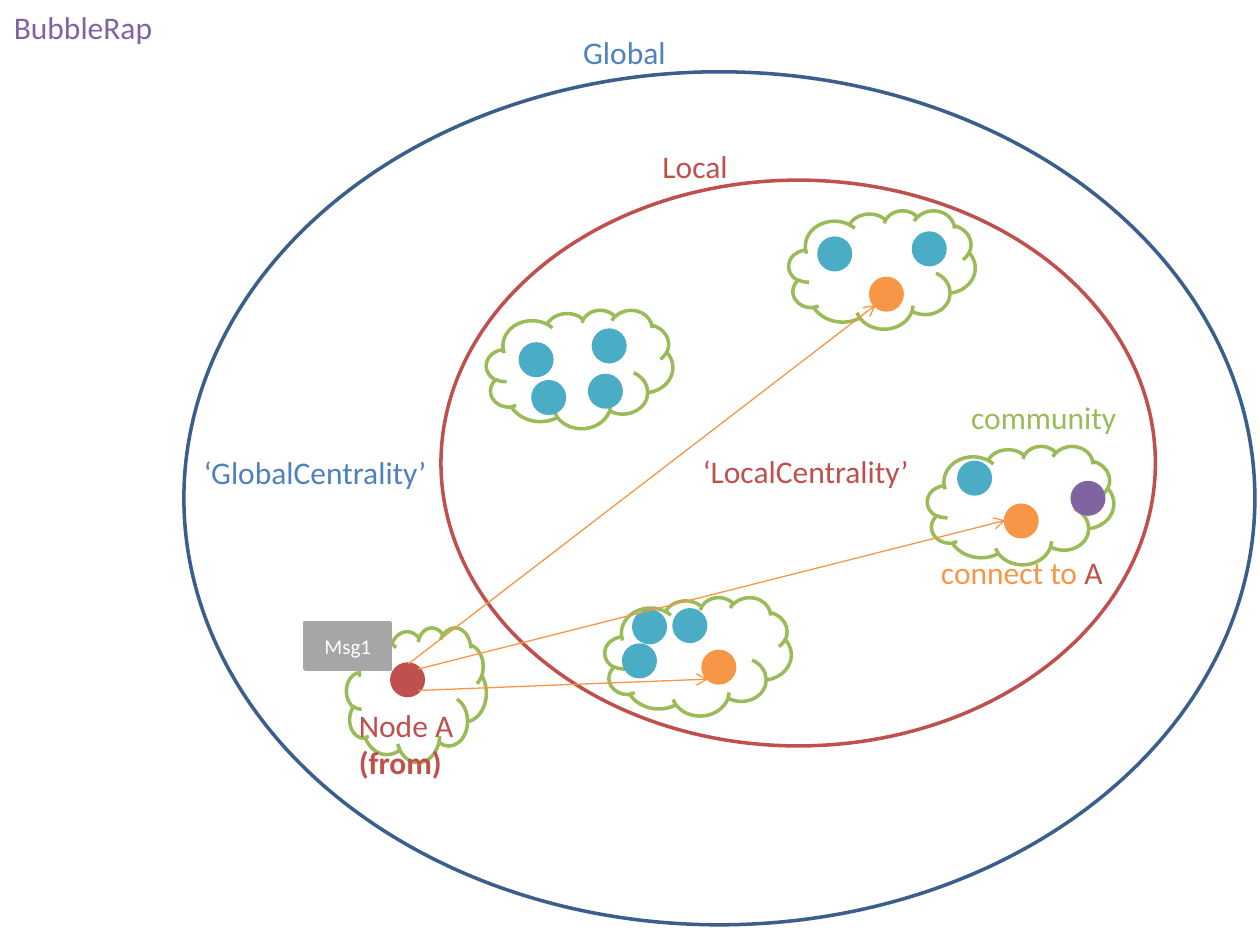
from typing import NamedTuple, Optional

from lxml import etree
from pptx import Presentation
from pptx import util as u
from pptx.dml.color import RGBColor
from pptx.enum import shapes, text
from pptx.oxml import ns

FONT = "Calibri"
NAVY = RGBColor(0x3A, 0x5F, 0x8C)
BLUE = RGBColor(0x4F, 0x81, 0xBD)
RED = RGBColor(0xC0, 0x50, 0x4D)
GREEN = RGBColor(0x9B, 0xBB, 0x59)
TEAL = RGBColor(0x4B, 0xAC, 0xC6)
ORANGE = RGBColor(0xF7, 0x96, 0x46)
PURPLE = RGBColor(0x80, 0x64, 0xA2)
GRAY = RGBColor(0xA6, 0xA6, 0xA6)
WHITE = RGBColor(0xFF, 0xFF, 0xFF)

NODE_SIZE = 0.25
CLOUD_WIDTH, CLOUD_HEIGHT = 1.48, 0.94


class Run(NamedTuple):
    words: str
    color: RGBColor
    bold: bool = False
    size: int = 18


class Box(NamedTuple):
    left: float
    top: float
    width: float
    height: float

    def lengths(self) -> list:
        return [u.Inches(value) for value in self]


class Outline(NamedTuple):
    box: Box
    preset: shapes.MSO_SHAPE
    line: RGBColor
    fill: Optional[RGBColor] = None


class Node(NamedTuple):
    left: float
    top: float
    color: RGBColor = TEAL


class Arrow(NamedTuple):
    start: tuple
    end: tuple


class Label(NamedTuple):
    box: Box
    lines: list


def cloud(left: float, top: float, width: float = CLOUD_WIDTH,
          height: float = CLOUD_HEIGHT) -> Outline:
    return Outline(Box(left, top, width, height), shapes.MSO_SHAPE.CLOUD, GREEN)


REGIONS = [
    Outline(Box(1.46, 0.57, 8.5, 6.77), shapes.MSO_SHAPE.OVAL, NAVY),
    Outline(Box(3.5, 1.43, 5.67, 4.49), shapes.MSO_SHAPE.OVAL, RED),
]
COMMUNITIES = [
    cloud(6.26, 1.67),
    cloud(4.8, 4.74),
    cloud(7.36, 3.54),
    cloud(3.86, 2.46),
    cloud(2.75, 4.98, 1.11, 1.07),
]
NODES = [
    Node(4.71, 2.62), Node(4.13, 2.73), Node(4.23, 3.03), Node(4.68, 2.98),
    Node(6.5, 1.89), Node(7.25, 1.85), Node(6.91, 2.21, ORANGE),
    Node(5.03, 4.85), Node(4.95, 5.12), Node(5.35, 4.84), Node(5.58, 5.17, ORANGE),
    Node(7.61, 3.67), Node(8.51, 3.83, PURPLE), Node(7.98, 4.01, ORANGE),
    Node(3.11, 5.27, RED),
]
ARROWS = [
    Arrow((3.24, 5.27), (6.95, 2.42)),
    Arrow((3.32, 5.48), (5.62, 5.39)),
    Arrow((3.32, 5.31), (7.98, 4.13)),
]
MESSAGE = Outline(Box(2.42, 4.94, 0.68, 0.37), shapes.MSO_SHAPE.RECTANGLE, GRAY, GRAY)
TITLE = Label(Box(0.01, 0.01, 1.31, 0.4), [[Run("BubbleRap", PURPLE)]])
LABELS = [
    Label(Box(4.53, 0.21, 0.86, 0.4), [[Run("Global", BLUE)]]),
    Label(Box(5.16, 1.12, 0.73, 0.4), [[Run("Local", RED)]]),
    Label(Box(7.61, 3.11, 1.37, 0.4), [[Run("community", GREEN)]]),
    Label(Box(7.37, 4.34, 1.5, 0.4), [[Run("connect to ", ORANGE), Run("A", RED)]]),
    Label(Box(2.75, 5.55, 0.96, 0.71), [[Run("Node A", RED)], [Run("(from)", RED, True)]]),
    Label(Box(5.48, 3.54, 1.84, 0.4), [[Run("‘LocalCentrality’", RED)]]),
    Label(Box(1.52, 3.55, 1.97, 0.4), [[Run("‘GlobalCentrality’", BLUE)]]),
]


def write(frame, lines: list, align, anchor) -> None:
    frame.word_wrap = False
    frame.vertical_anchor = anchor
    for index, runs in enumerate(lines):
        paragraph = frame.paragraphs[0] if index == 0 else frame.add_paragraph()
        paragraph.alignment = align
        for item in runs:
            run = paragraph.add_run()
            run.text = item.words
            run.font.name = FONT
            run.font.size = u.Pt(item.size)
            run.font.bold = item.bold
            run.font.color.rgb = item.color


def draw_outline(slide, outline: Outline):
    shape = slide.shapes.add_shape(outline.preset, *outline.box.lengths())
    shape.shadow.inherit = False
    shape.line.color.rgb = outline.line
    shape.line.width = u.Pt(2)
    if outline.fill is None:
        shape.fill.background()
    else:
        shape.fill.solid()
        shape.fill.fore_color.rgb = outline.fill
    return shape


def draw_node(slide, node: Node) -> None:
    box = Box(node.left, node.top, NODE_SIZE, NODE_SIZE)
    draw_outline(slide, Outline(box, shapes.MSO_SHAPE.FLOWCHART_CONNECTOR, node.color, node.color))


def draw_arrow(slide, arrow: Arrow) -> None:
    ends = [u.Inches(value) for value in arrow.start + arrow.end]
    connector = slide.shapes.add_connector(shapes.MSO_CONNECTOR.STRAIGHT, *ends)
    connector.line.color.rgb = ORANGE
    connector.line.width = u.Pt(0.75)
    etree.SubElement(connector.line._get_or_add_ln(), ns.qn("a:tailEnd"), type="arrow")
    etree.SubElement(connector._element.spPr, ns.qn("a:effectLst"))


def draw_label(slide, label: Label) -> None:
    shape = slide.shapes.add_textbox(*label.box.lengths())
    write(shape.text_frame, label.lines, text.PP_ALIGN.LEFT, text.MSO_ANCHOR.TOP)
    shape.text_frame.auto_size = text.MSO_AUTO_SIZE.SHAPE_TO_FIT_TEXT


def draw_title(slide, label: Label) -> None:
    title = slide.shapes.title
    title.left, title.top, title.width, title.height = label.box.lengths()
    write(title.text_frame, label.lines, text.PP_ALIGN.LEFT, text.MSO_ANCHOR.TOP)
    title.text_frame.auto_size = text.MSO_AUTO_SIZE.SHAPE_TO_FIT_TEXT


def main() -> None:
    presentation = Presentation()
    presentation.slide_width = u.Inches(10)
    presentation.slide_height = u.Inches(7.5)
    slide = presentation.slides.add_slide(presentation.slide_layouts[5])
    draw_title(slide, TITLE)
    for outline in REGIONS + COMMUNITIES:
        draw_outline(slide, outline)
    for node in NODES:
        draw_node(slide, node)
    for arrow in ARROWS:
        draw_arrow(slide, arrow)
    message = draw_outline(slide, MESSAGE)
    write(message.text_frame, [[Run("Msg1", WHITE, size=12)]],
          text.PP_ALIGN.CENTER, text.MSO_ANCHOR.MIDDLE)
    for label in LABELS:
        draw_label(slide, label)
    presentation.save("out.pptx")


if __name__ == "__main__":
    main()
